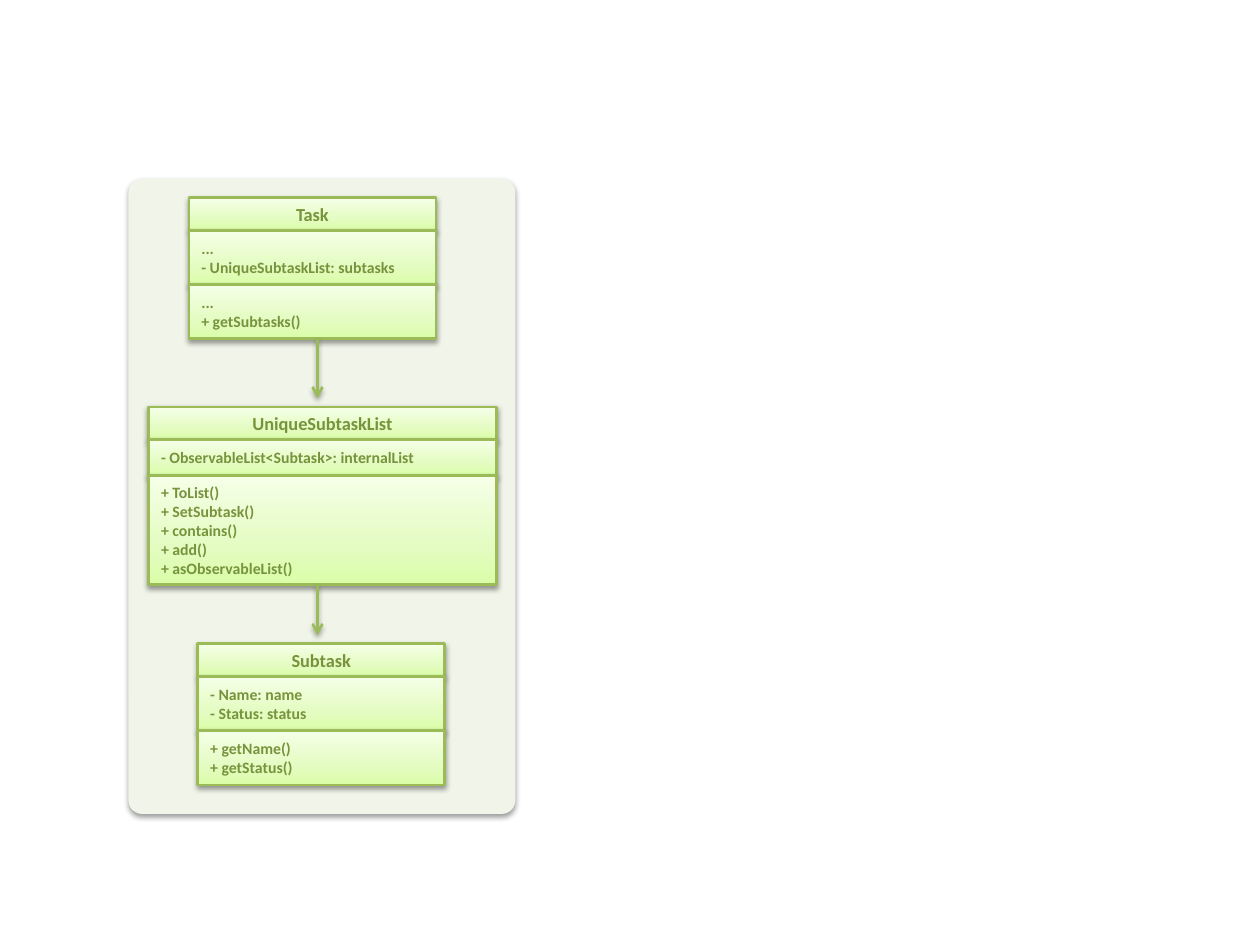
from lxml.etree import SubElement as Sub
from pptx import Presentation
from pptx.dml.color import RGBColor as RGB
from pptx.enum.shapes import MSO_CONNECTOR as CON, MSO_SHAPE as SHAPE
from pptx.enum.text import MSO_ANCHOR as ANCHOR, PP_ALIGN as ALIGN
from pptx.oxml.ns import qn
from pptx.util import Inches, Pt

# Content: left, top, width, name, fields, methods
CLASSES = [
    (1.5, 1.57, 1.96, "Task",
     ["...", "- UniqueSubtaskList: subtasks"],
     ["...", "+ getSubtasks()"]),
    (1.18, 3.23, 2.76, "UniqueSubtaskList",
     ["- ObservableList<Subtask>: internalList"],
     ["+ ToList()", "+ SetSubtask()", "+ contains()", "+ add()",
      "+ asObservableList()"]),
    (1.57, 5.11, 1.96, "Subtask",
     ["- Name: name", "- Status: status"],
     ["+ getName()", "+ getStatus()"]),
]
PANEL = (1.02, 1.42, 3.07, 5.04)
ARROW_X, ARROW_GAP = 2.52, 0.07
HEAD, PAD, LINE = 0.26, 0.14, 0.145
COLORS = {"panel": "F1F5E9", "line": "9BBB59", "text": "77933C",
          "shadow": "000000"}
STOPS = [(0, "DAFDA7"), (35, "E4FCC2"), (100, "F5FFE7")]

prs = Presentation()
prs.slide_width, prs.slide_height = Inches(10), Inches(7.5)
slide = prs.slides.add_slide(prs.slide_layouts[6])


def node(parent, tag, **attrs):
    return Sub(parent, qn("a:" + tag), {k: str(v) for k, v in attrs.items()})


def shade(props):
    """Add a soft shadow below the shape."""
    effects = props.find(qn("a:effectLst"))
    if effects is None:
        effects = node(props, "effectLst")
    outer = node(effects, "outerShdw", blurRad=Pt(3.1), dist=Pt(1.6),
                 dir=90 * 60000, rotWithShape=0)
    color = node(outer, "srgbClr", val=COLORS["shadow"])
    node(color, "alpha", val=38000)


def blend(shape):
    """Fill with the three-stop gradient, rising from the bottom."""
    shape.fill.gradient()
    grad = shape.fill._fill._gradFill
    for child in list(grad):
        grad.remove(child)
    stops = node(grad, "gsLst")
    for place, color in STOPS:
        stop = node(stops, "gs", pos=place * 1000)
        node(stop, "srgbClr", val=color)
    node(grad, "lin", ang=270 * 60000, scaled=1)


def stroke(line):
    line.color.rgb = RGB.from_string(COLORS["line"])
    line.width = Pt(1.5)


def write(shape, lines, size=9, align=ALIGN.LEFT):
    frame = shape.text_frame
    frame.word_wrap = True
    frame.vertical_anchor = ANCHOR.MIDDLE
    for i, text in enumerate(lines):
        para = frame.add_paragraph() if i else frame.paragraphs[0]
        para.alignment = align
        run = para.add_run()
        run.text = text
        font = run.font
        font.name, font.size, font.bold = "Calibri", Pt(size), True
        font.color.rgb = RGB.from_string(COLORS["text"])


def block(kind, *at):
    shape = slide.shapes.add_shape(kind, *map(Inches, at))
    shape.shadow.inherit = False
    shade(shape._element.spPr)
    return shape


def cell(at, lines, **style):
    shape = block(SHAPE.RECTANGLE, *at)
    blend(shape)
    stroke(shape.line)
    write(shape, lines, **style)


def arrow(x, top, end):
    link = slide.shapes.add_connector(
        CON.STRAIGHT, *map(Inches, (x, top, x, end)))
    stroke(link.line)
    node(link.line._get_or_add_ln(), "tailEnd", type="arrow")
    shade(link._element.spPr)


# Panel
panel = block(SHAPE.ROUNDED_RECTANGLE, *PANEL)
panel.adjustments[0] = 0.035
panel.fill.solid()
panel.fill.fore_color.rgb = RGB.from_string(COLORS["panel"])
panel.line.fill.background()

# Class boxes, each joined to the one above
bottom = None
for left, top, width, name, *parts in CLASSES:
    if bottom:
        arrow(ARROW_X, bottom, top - ARROW_GAP)
    cell((left, top, width, HEAD), [name], size=10.5, align=ALIGN.CENTER)
    bottom = top + HEAD
    for lines in parts:
        height = PAD + LINE * len(lines)
        cell((left, bottom, width, height), lines)
        bottom += height

prs.save("out.pptx")
